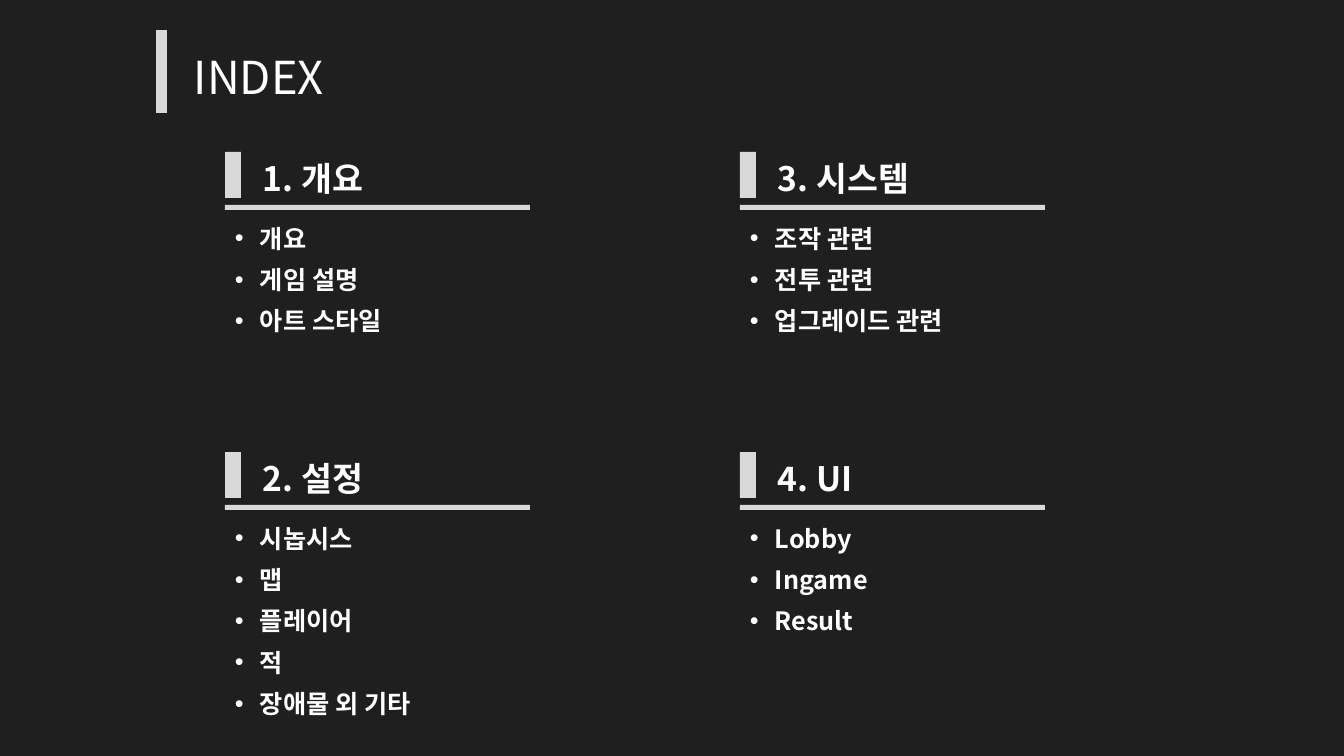
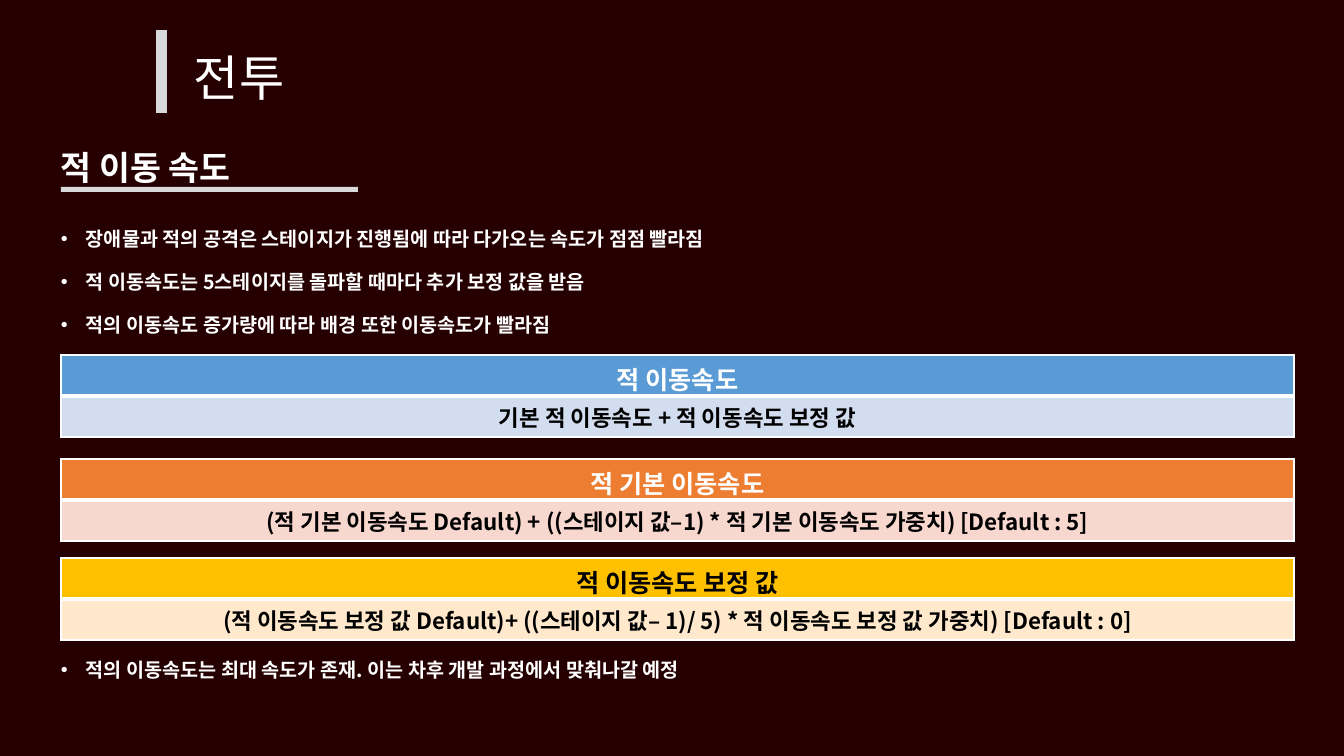
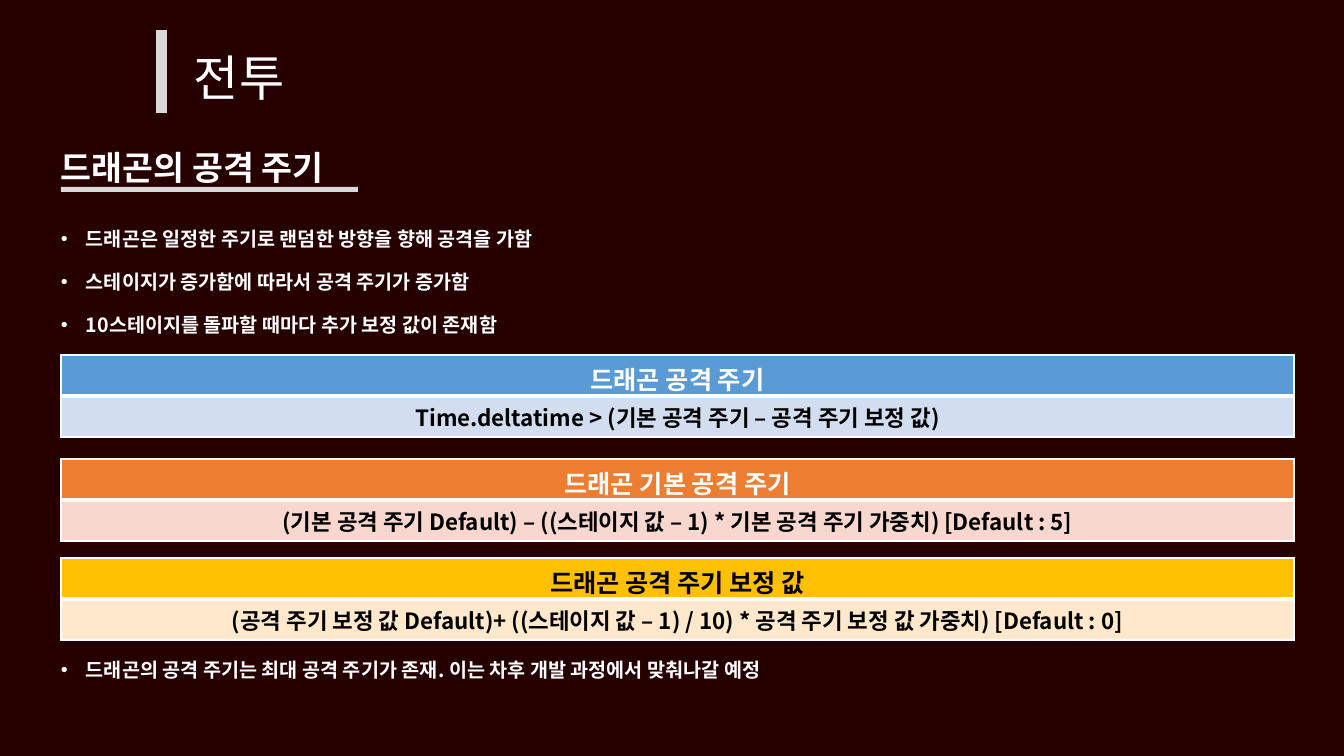
import pptx
import pptx.util
import pptx.dml.color
import pptx.enum.shapes
import pptx.enum.text
import pptx.oxml.ns
from lxml import etree

RGB = pptx.dml.color.RGBColor
WHITE = RGB(0xFF, 0xFF, 0xFF)
BLACK = RGB(0x00, 0x00, 0x00)
CHARCOAL = RGB(0x1F, 0x1F, 0x1F)
MAROON = RGB(0x26, 0x00, 0x00)
SILVER = RGB(0xD9, 0xD9, 0xD9)
BLUE = RGB(0x5B, 0x9B, 0xD5)
PALE_BLUE = RGB(0xD2, 0xDE, 0xEF)
ORANGE = RGB(0xED, 0x7D, 0x31)
PALE_ORANGE = RGB(0xF8, 0xD7, 0xCE)
GOLD = RGB(0xFF, 0xC0, 0x00)
PALE_GOLD = RGB(0xFF, 0xE8, 0xCC)

FONT = "Noto Sans CJK KR"
LEADING = 1.2
EMU_PER_PX = 12192000 / 1344

INDEX_SECTIONS = [
    ("1. 개요", ["개요", "게임 설명", "아트 스타일"]),
    ("2. 설정", ["시놉시스", "맵", "플레이어", "적", "장애물 외 기타"]),
    ("3. 시스템", ["조작 관련", "전투 관련", "업그레이드 관련"]),
    ("4. UI", ["Lobby", "Ingame", "Result"]),
]

FORMULA_STYLES = [
    (355, BLUE, PALE_BLUE, WHITE),
    (459, ORANGE, PALE_ORANGE, WHITE),
    (558, GOLD, PALE_GOLD, BLACK),
]

COMBAT_PAGES = [
    {
        "heading": "적 이동 속도",
        "points": [
            "장애물과 적의 공격은 스테이지가 진행됨에 따라 다가오는 속도가 점점 빨라짐",
            "적 이동속도는 5스테이지를 돌파할 때마다 추가 보정 값을 받음",
            "적의 이동속도 증가량에 따라 배경 또한 이동속도가 빨라짐",
        ],
        "formulas": [
            ("적 이동속도", "기본 적 이동속도 + 적 이동속도 보정 값"),
            ("적 기본 이동속도",
             "(적 기본 이동속도 Default) + ((스테이지 값–1) * 적 기본 이동속도 가중치) [Default : 5]"),
            ("적 이동속도 보정 값",
             "(적 이동속도 보정 값 Default)+ ((스테이지 값– 1)/ 5) * 적 이동속도 보정 값 가중치) [Default : 0]"),
        ],
        "note": "적의 이동속도는 최대 속도가 존재. 이는 차후 개발 과정에서 맞춰나갈 예정",
    },
    {
        "heading": "드래곤의 공격 주기",
        "points": [
            "드래곤은 일정한 주기로 랜덤한 방향을 향해 공격을 가함",
            "스테이지가 증가함에 따라서 공격 주기가 증가함",
            "10스테이지를 돌파할 때마다 추가 보정 값이 존재함",
        ],
        "formulas": [
            ("드래곤 공격 주기", "Time.deltatime > (기본 공격 주기 – 공격 주기 보정 값)"),
            ("드래곤 기본 공격 주기",
             "(기본 공격 주기 Default) – ((스테이지 값 – 1) * 기본 공격 주기 가중치) [Default : 5]"),
            ("드래곤 공격 주기 보정 값",
             "(공격 주기 보정 값 Default)+ ((스테이지 값 – 1) / 10) * 공격 주기 보정 값 가중치) [Default : 0]"),
        ],
        "note": "드래곤의 공격 주기는 최대 공격 주기가 존재. 이는 차후 개발 과정에서 맞춰나갈 예정",
    },
]


def px(length):
    return pptx.util.Emu(round(length * EMU_PER_PX))


def add_xml(parent, tag, **attributes):
    return etree.SubElement(parent, pptx.oxml.ns.qn(tag), attributes)


class SlideWriter:
    def __init__(self):
        self.deck = pptx.Presentation()
        self.deck.slide_width = px(1344)
        self.deck.slide_height = px(756)
        self.page = None

    def new_page(self, title, background, title_size, title_width):
        self.page = self.deck.slides.add_slide(self.deck.slide_layouts[6])
        self.page.background.fill.solid()
        self.page.background.fill.fore_color.rgb = background
        self.bar(156, 30, 11, 83)
        frame = self.text(184, 43, title_width, 62, [title], title_size,
                          bold=False, leading=1.3)
        frame.vertical_anchor = pptx.enum.text.MSO_ANCHOR.MIDDLE
        frame.margin_top = frame.margin_bottom = 0

    def bar(self, left, top, width, height):
        bar = self.page.shapes.add_shape(
            pptx.enum.shapes.MSO_SHAPE.RECTANGLE,
            px(left), px(top), px(width), px(height))
        bar.shadow.inherit = False
        bar.fill.solid()
        bar.fill.fore_color.rgb = SILVER
        bar.line.fill.background()

    def style(self, para, size, color, bold):
        for span in para.runs:
            span.font.size = pptx.util.Pt(size)
            span.font.bold = bold
            span.font.color.rgb = color
            span.font.name = FONT
            add_xml(span.font._element, "a:ea", typeface=FONT)

    def text(self, left, top, width, height, lines, size,
             bold=True, leading=LEADING, gap=0, bullets=False):
        box = self.page.shapes.add_textbox(
            px(left), px(top), px(width), px(height))
        frame = box.text_frame
        frame.word_wrap = True
        frame.text = "\n".join(lines)
        for number, para in enumerate(frame.paragraphs):
            if bullets:
                properties = para._p.get_or_add_pPr()
                properties.set("marL", str(px(25)))
                properties.set("indent", str(-px(25)))
                add_xml(properties, "a:buFont", typeface="Arial")
                add_xml(properties, "a:buChar", char="•")
            para.line_spacing = pptx.util.Pt(size * leading)
            if number:
                para.space_before = pptx.util.Pt(gap)
            self.style(para, size, WHITE, bold)
        return frame

    def heading(self, left, top, width, label):
        self.text(left, top, width, 50, [label], 24)

    def bullets(self, left, top, width, height, lines, size, gap):
        self.text(left, top, width, height, lines, size, gap=gap, bullets=True)

    def formula(self, top, rows, fills, colors):
        frame = self.page.shapes.add_table(
            2, 1, px(61), px(top), px(1233), px(82))
        table = frame.table
        table.first_row = False
        table.horz_banding = False
        borders = [(1, 3), (3, 1)]
        for number, size in enumerate((18, 16)):
            cell = table.cell(number, 0)
            cell.text = rows[number]
            para = cell.text_frame.paragraphs[0]
            para.alignment = pptx.enum.text.PP_ALIGN.CENTER
            self.style(para, size, colors[number], True)
            upper, lower = borders[number]
            self.borders(cell, left=1, right=1, top=upper, bottom=lower)
            cell.fill.solid()
            cell.fill.fore_color.rgb = fills[number]

    def borders(self, cell, **widths):
        properties = cell._tc.get_or_add_tcPr()
        for side, width in widths.items():
            line = add_xml(properties, "a:ln" + side[0].upper(),
                           w=str(pptx.util.Pt(width)))
            fill = add_xml(line, "a:solidFill")
            add_xml(fill, "a:srgbClr", val=str(WHITE))


def build_index(writer):
    writer.new_page("INDEX", CHARCOAL, 32.4, 225)
    for number, (label, entries) in enumerate(INDEX_SECTIONS):
        column, row = divmod(number, 2)
        left = 225 + 515 * column
        top = 152 + 300 * row
        writer.bar(left, top, 16, 46)
        writer.bar(left, top + 53, 305, 5)
        writer.heading(left + 28, top + 1, 278, label)
        writer.bullets(left, top + 66, 346, 190 + 25 * (len(entries) > 3),
                       entries, 18, 7.9)


def build_combat(writer, content):
    writer.new_page("전투", MAROON, 35.1, 431)
    writer.heading(51, 142, 573, content["heading"])
    writer.bar(61, 187, 297, 5)
    writer.bullets(51, 222, 1244, 125, content["points"], 14, 14)
    for rows, style in zip(content["formulas"], FORMULA_STYLES):
        top, header_fill, body_fill, header_color = style
        writer.formula(top, rows, (header_fill, body_fill),
                       (header_color, BLACK))
    writer.bullets(51, 653, 1244, 40, [content["note"]], 14, 14)


def main():
    writer = SlideWriter()
    build_index(writer)
    for content in COMBAT_PAGES:
        build_combat(writer, content)
    writer.deck.save("out.pptx")


if __name__ == "__main__":
    main()
